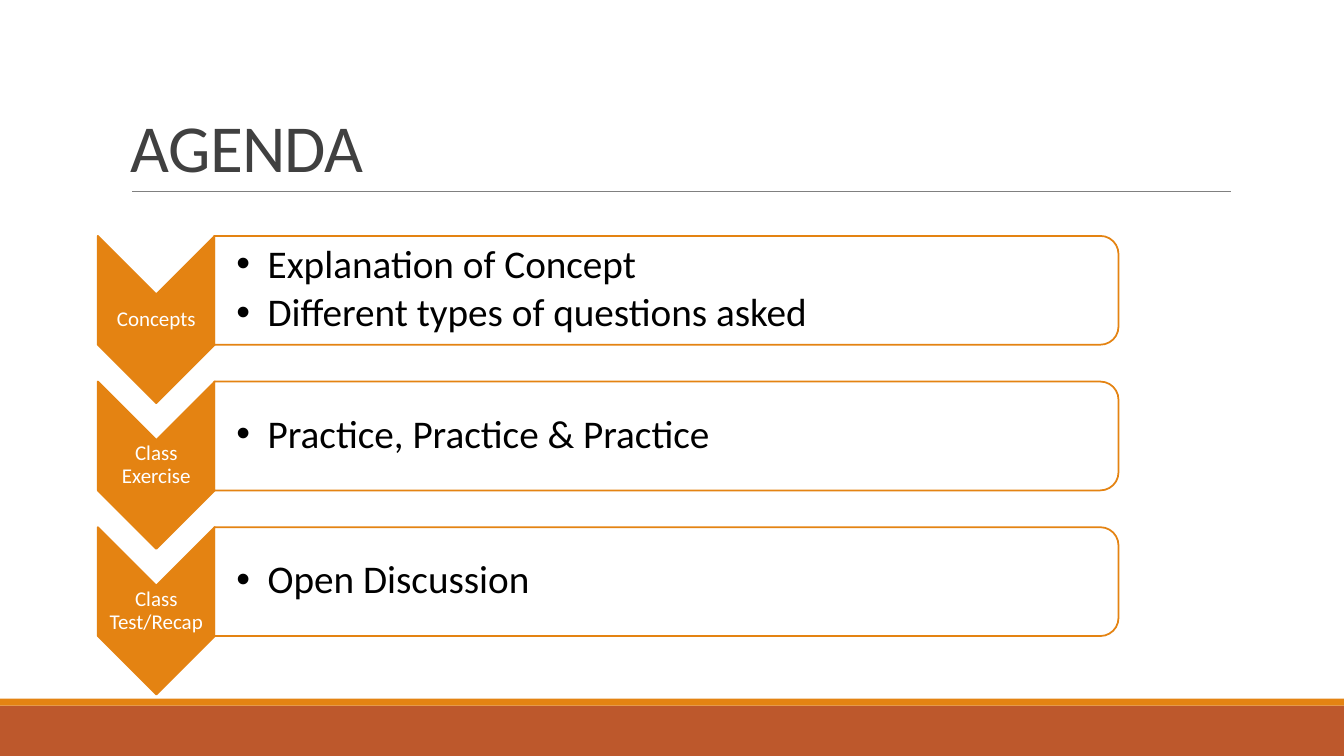
"""Build an agenda slide: three chevrons, each beside a bulleted panel."""
import dataclasses
import typing

import lxml.etree
import pptx
import pptx.dml.color
import pptx.enum.shapes
import pptx.enum.text
import pptx.oxml.ns
import pptx.util

WIDE, HIGH = 13.33, 7.5
ORANGE, RUST, GRAY, DARK = "E48312", "BD582C", "808080", "404040"
WHITE, BLACK = "FFFFFF", "000000"
KIND = pptx.enum.shapes.MSO_SHAPE
ALIGN = pptx.enum.text.PP_ALIGN
ANCHOR = pptx.enum.text.MSO_ANCHOR
TOP, PITCH = 31.2, 19.27


@dataclasses.dataclass(frozen=True)
class Box:
    """A box in percent of the slide's width and height."""
    left: float
    top: float
    width: float
    height: float

    def drop(self, rise: float) -> "Box":
        """Return the box moved down by a share of the height."""
        return dataclasses.replace(self, top=self.top + rise)


@dataclasses.dataclass(frozen=True)
class Step:
    """One agenda step with its bulleted points."""
    label: str
    points: tuple[str, ...]


STEPS = (
    Step("Concepts", ("Explanation of Concept", "Different types of questions asked")),
    Step("Class Exercise", ("Practice, Practice & Practice",)),
    Step("Class Test/Recap", ("Open Discussion",)),
)
ARROW = Box(7.28, TOP, 8.7, 22.13)
PANEL = Box(15.94, TOP, 67.28, 14.4)
LABEL = Box(7.28, TOP + 7.73, 8.7, 6.67)
BODY = Box(15.94, TOP + 0.67, 66.9, 12.93)


def across(share: float) -> int:
    """Turn a percent of the width into a length."""
    return pptx.util.Inches(WIDE * share / 100)


def down(share: float) -> int:
    """Turn a percent of the height into a length."""
    return pptx.util.Inches(HIGH * share / 100)


def place(box: Box) -> tuple[int, int, int, int]:
    """Return left, top, width and height as lengths."""
    return across(box.left), down(box.top), across(box.width), down(box.height)


def tint(code: str) -> pptx.dml.color.RGBColor:
    """Turn a hex string into a colour."""
    return pptx.dml.color.RGBColor.from_string(code)


def child(node: typing.Any, tag: str, **marks: str) -> typing.Any:
    """Append an XML element with the given attributes."""
    return lxml.etree.SubElement(node, pptx.oxml.ns.qn(tag), marks)


def form(slide: typing.Any, kind: typing.Any, box: Box, fill: str,
         edge: str | None = None, turn: bool = False) -> typing.Any:
    """Draw a shape that fills the box, turned by a quarter on request."""
    left, top, width, height = place(box)
    if turn:
        left, top = left + (width - height) // 2, top + (height - width) // 2
        width, height = height, width
    shape = slide.shapes.add_shape(kind, left, top, width, height)
    shape.rotation = 90 if turn else 0
    shape.shadow.inherit = False
    shape.fill.solid()
    shape.fill.fore_color.rgb = tint(fill)
    if edge:
        shape.line.color.rgb = tint(edge)
        shape.line.width = pptx.util.Pt(1.25)
    else:
        shape.line.fill.background()
    return shape


def write(slide: typing.Any, lines: typing.Sequence[str], box: Box, *, size: float,
          color: str, anchor: typing.Any = ANCHOR.MIDDLE, align: typing.Any = ALIGN.LEFT,
          pad: float = 0.01, inset: float = 0.01, lead: float = 0.9, after: float = 0,
          track: int = 0, bullet: bool = False) -> None:
    """Write lines of text in a box with one format."""
    frame = slide.shapes.add_textbox(*place(box)).text_frame
    frame.word_wrap = True
    frame.vertical_anchor = anchor
    frame.margin_left = pptx.util.Inches(inset)
    frame.margin_right = frame.margin_top = frame.margin_bottom = pptx.util.Inches(pad)
    for rank, line in enumerate(lines):
        para = frame.add_paragraph() if rank else frame.paragraphs[0]
        para.alignment, para.line_spacing = align, lead
        para.space_after = pptx.util.Pt(after)
        run = para.add_run()
        run.text = line
        run.font.name, run.font.size = "Calibri", pptx.util.Pt(size)
        run.font.color.rgb = tint(color)
        if track:
            run.font._element.set("spc", str(track))
        if bullet:
            props = para._p.get_or_add_pPr()
            hang = pptx.util.Inches(0.31)
            props.set("marL", str(hang))
            props.set("indent", str(-hang))
            child(props, "a:buFont", typeface="Arial")
            child(props, "a:buChar", char="•")


def rule(slide: typing.Any, left: float, right: float, top: float) -> None:
    """Draw the thin line below the title."""
    line = slide.shapes.add_connector(
        pptx.enum.shapes.MSO_CONNECTOR.STRAIGHT,
        across(left), down(top), across(right), down(top))
    line.line.color.rgb = tint(GRAY)
    line.line.width = pptx.util.Pt(0.5)
    child(line._element.spPr, "a:effectLst")


def stage(slide: typing.Any, step: Step, rise: float) -> None:
    """Draw one step of the agenda."""
    form(slide, KIND.CHEVRON, ARROW.drop(rise), ORANGE, ORANGE, turn=True)
    write(slide, [step.label], LABEL.drop(rise), size=15, color=WHITE,
          align=ALIGN.CENTER, after=5.25)
    panel = form(slide, KIND.ROUND_2_SAME_RECTANGLE, PANEL.drop(rise), WHITE, ORANGE, turn=True)
    shade = panel._element.spPr.find(pptx.oxml.ns.qn("a:solidFill"))
    child(shade[0], "a:alpha", val="90000")
    write(slide, step.points, BODY.drop(rise), size=28, color=BLACK,
          pad=0.02, inset=0.22, after=4.2, bullet=True)


def main() -> None:
    """Build and save the slide."""
    deck = pptx.Presentation()
    deck.slide_width, deck.slide_height = across(100), down(100)
    slide = deck.slides.add_slide(deck.slide_layouts[6])
    form(slide, KIND.RECTANGLE, Box(0, 93.33, 100, 6.67), RUST)
    form(slide, KIND.RECTANGLE, Box(0, 92.4, 100, 0.93), ORANGE)
    rule(slide, 9.83, 91.58, 25.33)
    write(slide, ["AGENDA"], Box(9, 4.13, 82.5, 21.2), size=48, color=DARK,
          anchor=ANCHOR.BOTTOM, pad=0.05, inset=0.1, lead=0.85, track=-50)
    for rank, step in enumerate(STEPS):
        stage(slide, step, rank * PITCH)
    deck.save("out.pptx")


if __name__ == "__main__":
    main()
